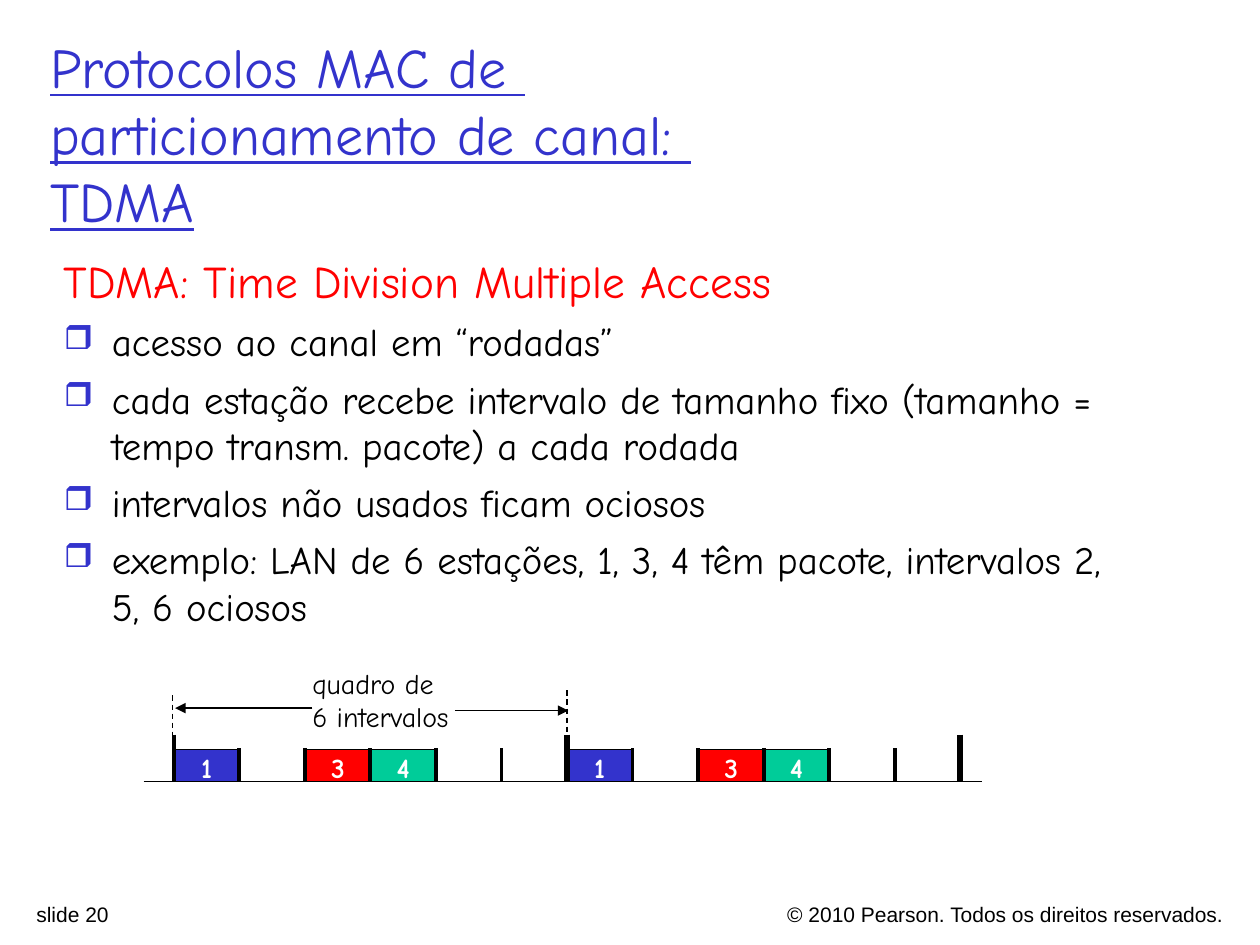
"""Build the slide on TDMA channel partitioning with its time-slot diagram."""
from lxml.etree import SubElement
from pptx import Presentation
from pptx.dml.color import RGBColor
from pptx.enum.dml import MSO_LINE
from pptx.enum.shapes import MSO_CONNECTOR, MSO_SHAPE
from pptx.enum.text import MSO_ANCHOR, PP_ALIGN
from pptx.oxml.ns import qn
from pptx.util import Inches, Pt

COLORS = {"blue": "3333CC", "red": "FF0000", "green": "00CC99",
          "black": "000000", "white": "FFFFFF"}
BODY = [
    "acesso ao canal em “rodadas”",
    "cada estação recebe intervalo de tamanho fixo (tamanho = tempo transm. pacote) a cada rodada",
    "intervalos não usados ficam ociosos",
    "exemplo: LAN de 6 estações, 1, 3, 4 têm pacote, intervalos 2, 5, 6 ociosos",
]
AXIS_LEFT, BASELINE, SLOT, SLOT_H = 1.38, 6.2, 0.52, 0.25
FRAME_SLOTS = 6
PACKETS = [(0, "1", "blue"), (2, "3", "red"), (3, "4", "green")]

prs = Presentation()
prs.slide_width, prs.slide_height = Inches(10), Inches(7.5)
s = prs.slides.add_slide(prs.slide_layouts[6])


def add_text(text, tf=None, at=None, size=16, font="Comic Neue", color="black",
             bold=False, underline=False, align=PP_ALIGN.LEFT,
             anchor=MSO_ANCHOR.TOP, wrap=True, hanging=False, bullet=None, before=0):
    if tf is None:
        tf = s.shapes.add_textbox(*map(Inches, at)).text_frame
        tf.word_wrap, tf.vertical_anchor = wrap, anchor
        p = tf.paragraphs[0]
    else:
        p = tf.add_paragraph()
    p.text, p.alignment, p.space_before = text, align, Pt(before)
    pPr = p._p.get_or_add_pPr()
    if hanging:
        pPr.set("marL", str(Inches(0.38)))
        pPr.set("indent", str(-Inches(0.38)))
    if bullet:
        clr = SubElement(pPr, qn("a:buClr"))
        SubElement(clr, qn("a:srgbClr"), val=COLORS["blue"])
        SubElement(pPr, qn("a:buSzPct"), val="85000")
        SubElement(pPr, qn("a:buChar"), char=bullet)
    for r in p.runs:
        r.font.name, r.font.size = font, Pt(size)
        r.font.bold, r.font.underline = bold, underline
        r.font.color.rgb = RGBColor.from_string(COLORS[color])
    return tf


def add_line(x1, y1, x2, y2, width=0.75, dashed=False, arrow=False):
    c = s.shapes.add_connector(MSO_CONNECTOR.STRAIGHT, *map(Inches, (x1, y1, x2, y2)))
    c.line.width = Pt(width)
    c.line.color.rgb = RGBColor.from_string(COLORS["black"])
    if dashed:
        c.line.dash_style = MSO_LINE.DASH
    if arrow:
        SubElement(c.line._get_or_add_ln(), qn("a:tailEnd"), type="triangle")
    SubElement(c._element.spPr, qn("a:effectLst"))


add_text("© 2010 Pearson. Todos os direitos reservados.", at=(4.7, 7.11, 5.11, 0.24),
         size=12, font="Arial", align=PP_ALIGN.RIGHT)
add_text("slide 20", at=(0.19, 7.11, 3.52, 0.23), size=12, font="Arial")
add_text("Protocolos MAC de \vparticionamento de canal: \vTDMA", at=(0.3, 0.43, 9.44, 1.25),
         size=32, color="blue", underline=True, anchor=MSO_ANCHOR.MIDDLE)

tf = add_text("TDMA: Time Division Multiple Access", at=(0.41, 1.96, 8.5, 3.21),
              size=25.9, color="red", hanging=True)
for item in BODY:
    add_text(item, tf=tf, size=22.2, hanging=True, bullet="❒", before=6)

add_line(1.14, BASELINE, 7.79, BASELINE)
for frame in range(2):
    for slot, label, color in PACKETS:
        x = AXIS_LEFT + (frame * FRAME_SLOTS + slot) * SLOT
        sp = s.shapes.add_shape(MSO_SHAPE.RECTANGLE, Inches(x), Inches(BASELINE - SLOT_H),
                                Inches(SLOT), Inches(SLOT_H))
        sp.shadow.inherit = False
        sp.fill.solid()
        sp.fill.fore_color.rgb = RGBColor.from_string(COLORS[color])
        sp.line.width = Pt(0.75)
        sp.line.color.rgb = RGBColor.from_string(COLORS["black"])
        add_text(label, at=(x + 0.11, 5.91, 0.3, 0.37), color="white", bold=True,
                 align=PP_ALIGN.CENTER, wrap=False)

for i in range(2 * FRAME_SLOTS + 1):
    x = AXIS_LEFT + i * SLOT
    if i % FRAME_SLOTS == 0:
        add_line(x, 5.83, x, BASELINE, width=3 if i else 2.25)
    elif i != 1 + FRAME_SLOTS * 2:
        add_line(x, 5.94, x, BASELINE, width=2.25)

add_text("quadro de\v6 intervalos", at=(2.38, 5.24, 1.29, 0.64), wrap=False)
add_line(3.61, 5.64, 4.51, 5.64, arrow=True)
add_line(2.48, 5.62, 1.39, 5.62, arrow=True)
add_line(1.37, 5.52, 1.37, 5.86, dashed=True)
add_line(4.5, 5.48, 4.5, 5.81, dashed=True)

prs.save("out.pptx")
